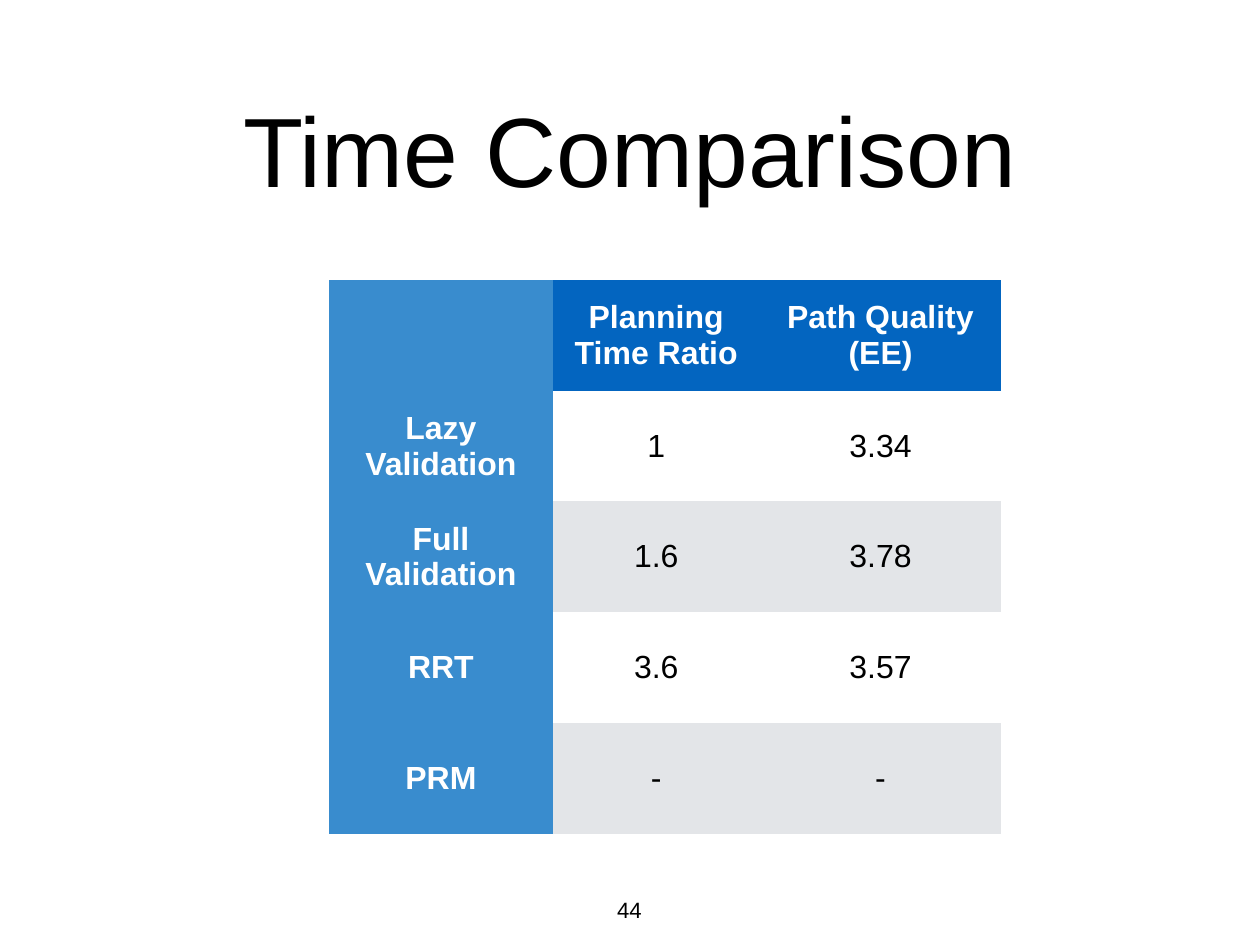
"""Build the time comparison slide with its table of planner results."""
from dataclasses import dataclass

from pptx import Presentation
from pptx.dml.color import RGBColor as RGB
from pptx.enum.text import MSO_ANCHOR as Anchor, PP_ALIGN as Align
from pptx.oxml.ns import qn
from pptx.slide import Slide
from pptx.text.text import TextFrame
from pptx.util import Pt


@dataclass(frozen=True)
class Theme:
    font: str = "Arial"
    ink: RGB = RGB(0x00, 0x00, 0x00)
    paper: RGB = RGB(0xFF, 0xFF, 0xFF)
    header: RGB = RGB(0x03, 0x65, 0xC0)
    label: RGB = RGB(0x39, 0x8C, 0xCE)
    band: RGB = RGB(0xE3, 0xE5, 0xE8)
    title_size: int = 80
    cell_size: int = 26
    number_size: int = 18
    plain_table: str = "{2D5ABB26-0587-4C30-8999-92F81FD0307C}"


@dataclass(frozen=True)
class Label:
    text: str
    left: float
    top: float
    width: float
    height: float
    size: int
    anchor: Anchor
    wrap: bool


THEME = Theme()
LABELS = [
    Label("Time Comparison", 75, 35, 874, 170, THEME.title_size, Anchor.MIDDLE, True),
    Label("44", 497, 728.5, 29, 30, THEME.number_size, Anchor.TOP, False),
]
RESULTS = [
    ["", "Planning Time Ratio", "Path Quality (EE)"],
    ["Lazy Validation", "1", "3.34"],
    ["Full Validation", "1.6", "3.78"],
    ["RRT", "3.6", "3.57"],
    ["PRM", "-", "-"],
]
TABLE_LEFT, TABLE_TOP = 267.4, 227.5
COL_WIDTHS = [182, 168, 196.5]
ROW_HEIGHT = 90
CELL_MARGIN = 4.3


def write(tf: TextFrame, text: str, size: int, color: RGB, bold: bool = False) -> None:
    """Write one centred run into a text frame."""
    p = tf.paragraphs[0]
    p.alignment = Align.CENTER
    r = p.add_run()
    r.text = text
    r.font.name, r.font.size, r.font.bold = THEME.font, Pt(size), bold
    r.font.color.rgb = color


def add_label(s: Slide, label: Label) -> None:
    """Add a text box without margins."""
    sp = s.shapes.add_textbox(Pt(label.left), Pt(label.top), Pt(label.width), Pt(label.height))
    tf = sp.text_frame
    tf.word_wrap, tf.vertical_anchor = label.wrap, label.anchor
    tf.margin_left = tf.margin_right = tf.margin_top = tf.margin_bottom = 0
    write(tf, label.text, label.size, THEME.ink)


def cell_fill(row: int, col: int) -> RGB:
    """Return the fill of a cell from its place in the table."""
    if col == 0:
        return THEME.label
    if row == 0:
        return THEME.header
    return THEME.paper if row % 2 else THEME.band


def add_results(s: Slide) -> None:
    """Add the results table with header row, label column and banded rows."""
    frame = s.shapes.add_table(
        len(RESULTS), len(COL_WIDTHS), Pt(TABLE_LEFT), Pt(TABLE_TOP),
        Pt(sum(COL_WIDTHS)), Pt(ROW_HEIGHT * len(RESULTS)))
    table = frame.table
    table.first_col, table.horz_banding = True, False
    frame.element.find(".//" + qn("a:tableStyleId")).text = THEME.plain_table
    for column, width in zip(table.columns, COL_WIDTHS):
        column.width = Pt(width)
    for row, values in enumerate(RESULTS):
        table.rows[row].height = Pt(ROW_HEIGHT)
        for col, text in enumerate(values):
            cell = table.cell(row, col)
            cell.fill.solid()
            cell.fill.fore_color.rgb = cell_fill(row, col)
            cell.vertical_anchor = Anchor.MIDDLE
            cell.margin_left = cell.margin_right = Pt(CELL_MARGIN)
            cell.margin_top = cell.margin_bottom = Pt(CELL_MARGIN)
            heading = row == 0 or col == 0
            if text:
                color = THEME.paper if heading else THEME.ink
                write(cell.text_frame, text, THEME.cell_size, color, heading)


def main() -> None:
    """Build and save the presentation."""
    prs = Presentation()
    prs.slide_width, prs.slide_height = Pt(1024), Pt(768)
    s = prs.slides.add_slide(prs.slide_layouts[6])
    for label in LABELS:
        add_label(s, label)
    add_results(s)
    prs.save("out.pptx")


if __name__ == "__main__":
    main()
